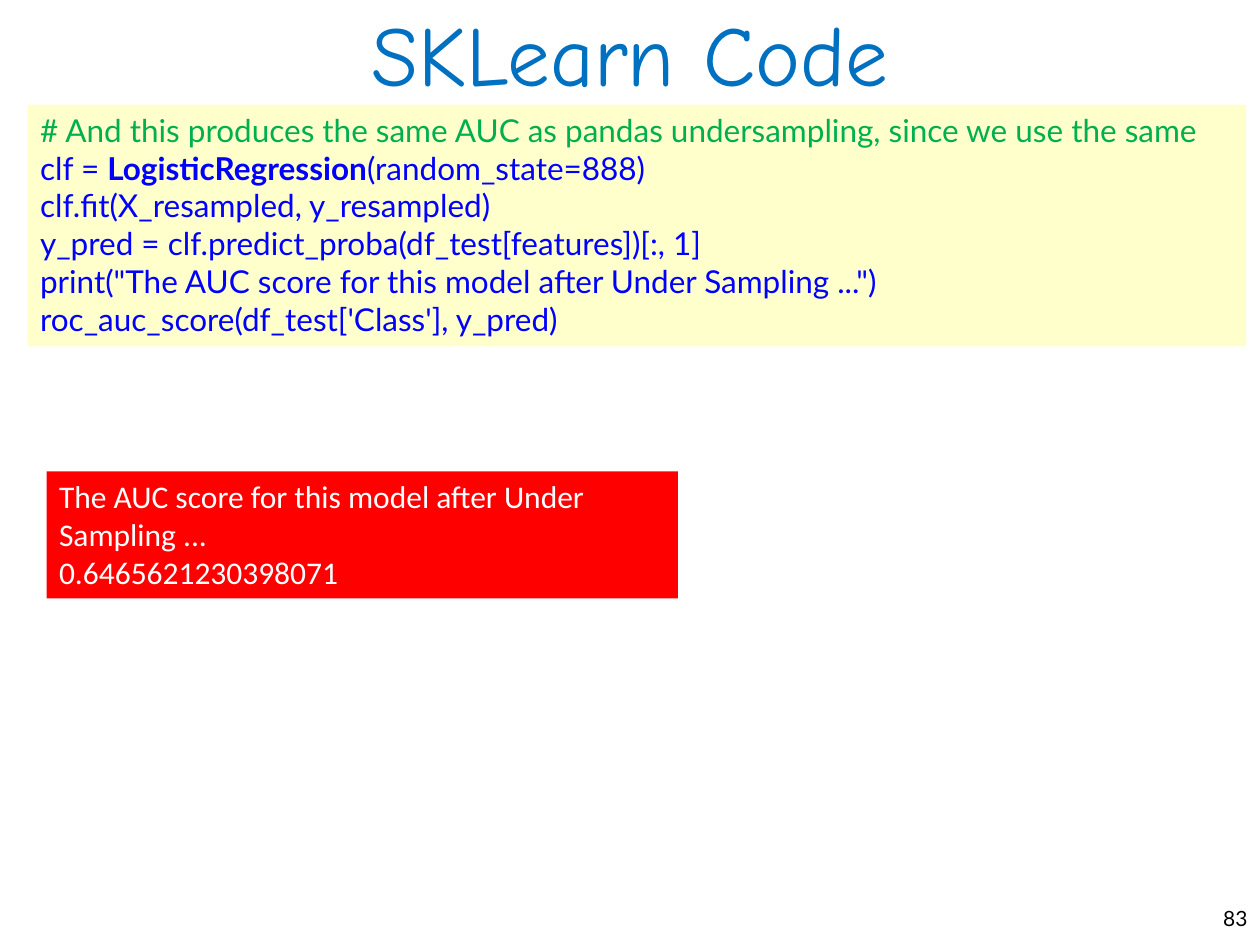
from pptx import Presentation
from pptx.dml.color import RGBColor
from pptx.enum.shapes import MSO_SHAPE
from pptx.enum.text import MSO_ANCHOR, MSO_AUTO_SIZE, PP_ALIGN
from pptx.util import Inches, Pt

COLOURS = {
    "title": "0070C0",
    "number": "000000",
    "code_fill": "FFFFCC",
    "comment": "00B050",
    "code": "0000FF",
    "output_fill": "FF0000",
    "output": "FFFFFF",
}

CODE_LINES = [
    [("# And this produces the same AUC as pandas undersampling, since we use the same", "comment", False)],
    [
        ("clf = ", "code", False),
        ("LogisticRegression", "code", True),
        ("(random_state=888)", "code", False),
    ],
    [("clf.fit(X_resampled, y_resampled)", "code", False)],
    [("y_pred = clf.predict_proba(df_test[features])[:, 1]", "code", False)],
    [('print("The AUC score for this model after Under Sampling ...")', "code", False)],
    [("roc_auc_score(df_test['Class'], y_pred)", "code", False)],
]
OUTPUT_LINES = [
    [("The AUC score for this model after Under Sampling ...", "output", False)],
    [("0.6465621230398071", "output", False)],
]


def colour(name):
    """Return the named colour."""
    return RGBColor.from_string(COLOURS[name])


def apply_format(target, values):
    """Set each attribute in values on the target."""
    for name, value in values.items():
        setattr(target, name, value)


def write_lines(frame, lines, font, size, align):
    """Fill a text frame with one paragraph per line of styled spans."""
    for index, line in enumerate(lines):
        para = frame.add_paragraph() if index else frame.paragraphs[0]
        para.alignment = align
        for text, tint, bold in line:
            span = para.add_run()
            span.text = text
            apply_format(span.font, {"name": font, "size": Pt(size), "bold": bold})
            span.font.color.rgb = colour(tint)


def place_title(page, box, text):
    """Move the title placeholder to the box and write the heading."""
    title = page.shapes.title
    apply_format(title, dict(zip(("left", "top", "width", "height"), map(Inches, box))))
    apply_format(title.text_frame, {
        "vertical_anchor": MSO_ANCHOR.MIDDLE,
        "word_wrap": True,
        "auto_size": MSO_AUTO_SIZE.NONE,
    })
    write_lines(title.text_frame, [[(text, "title", False)]], "Comic Neue", 48.6, PP_ALIGN.CENTER)


def place_panel(page, box, fill, lines, font):
    """Draw a filled panel in the box holding left-aligned lines."""
    panel = page.shapes.add_shape(MSO_SHAPE.RECTANGLE, *map(Inches, box))
    panel.shadow.inherit = False
    panel.fill.solid()
    panel.fill.fore_color.rgb = colour(fill)
    panel.line.fill.background()
    apply_format(panel.text_frame, {
        "vertical_anchor": MSO_ANCHOR.TOP,
        "word_wrap": True,
        "auto_size": MSO_AUTO_SIZE.SHAPE_TO_FIT_TEXT,
    })
    write_lines(panel.text_frame, lines, font, 18, PP_ALIGN.LEFT)


def place_number(page, box, text):
    """Write the page number at the right of the box."""
    frame = page.shapes.add_textbox(*map(Inches, box)).text_frame
    apply_format(frame, {"vertical_anchor": MSO_ANCHOR.MIDDLE, "word_wrap": True})
    write_lines(frame, [[(text, "number", False)]], "Lato", 12, PP_ALIGN.RIGHT)


def main():
    """Build the slide and save the deck."""
    deck = Presentation()
    apply_format(deck, {"slide_width": Inches(10), "slide_height": Inches(7.5)})
    page = deck.slides.add_slide(deck.slide_layouts.get_by_name("Title Only"))
    place_title(page, (0, 0, 10, 0.83), "SKLearn Code")
    place_number(page, (9.33, 7.08, 0.67, 0.42), "83")
    place_panel(page, (0.22, 0.83, 9.67, 1.92), "code_fill", CODE_LINES, "Lato")
    place_panel(page, (0.37, 3.74, 5.01, 1.01), "output_fill", OUTPUT_LINES, "Calibri")
    deck.save("out.pptx")


if __name__ == "__main__":
    main()
